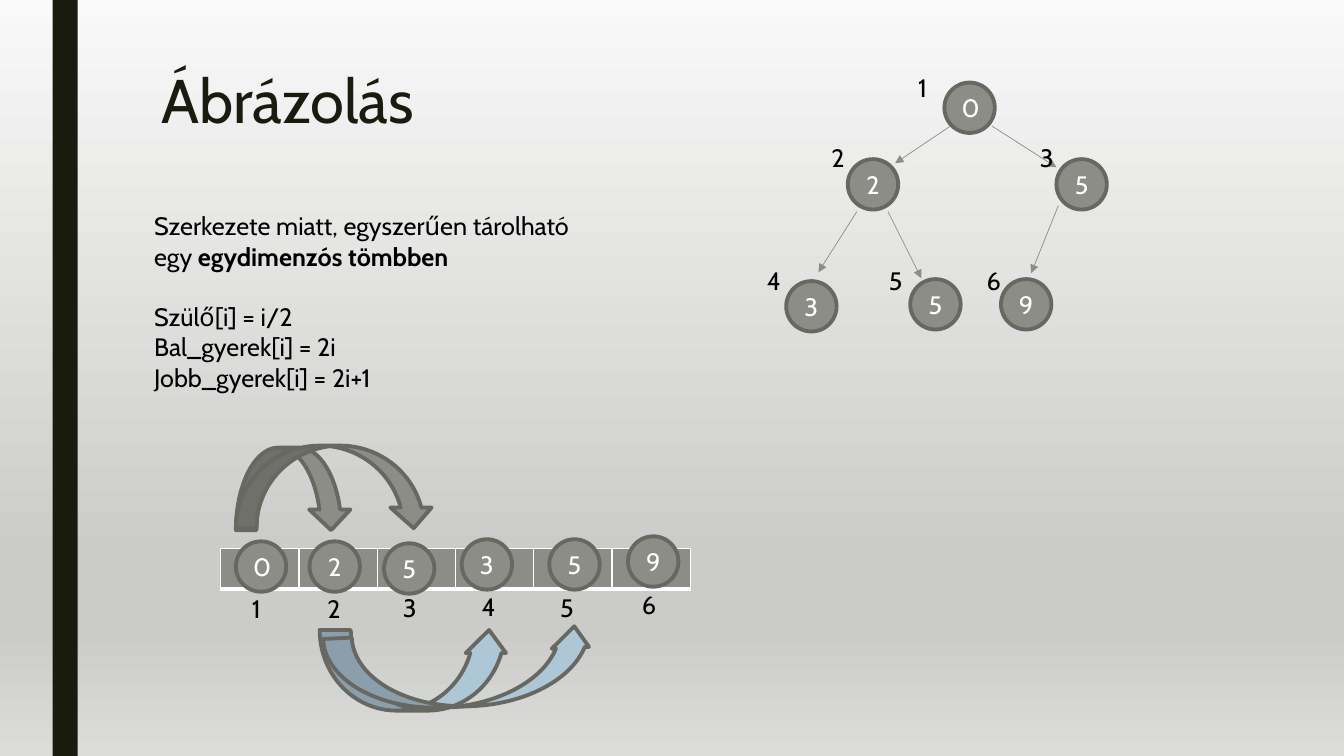
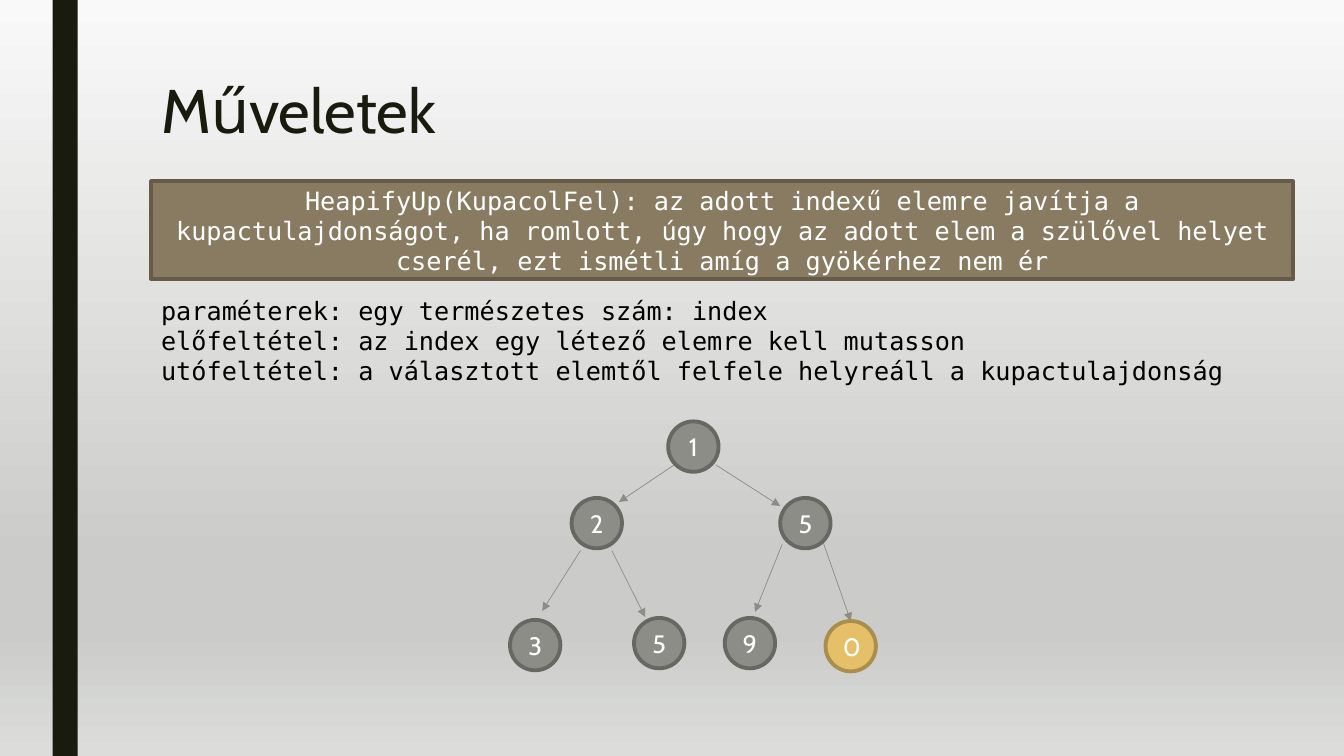
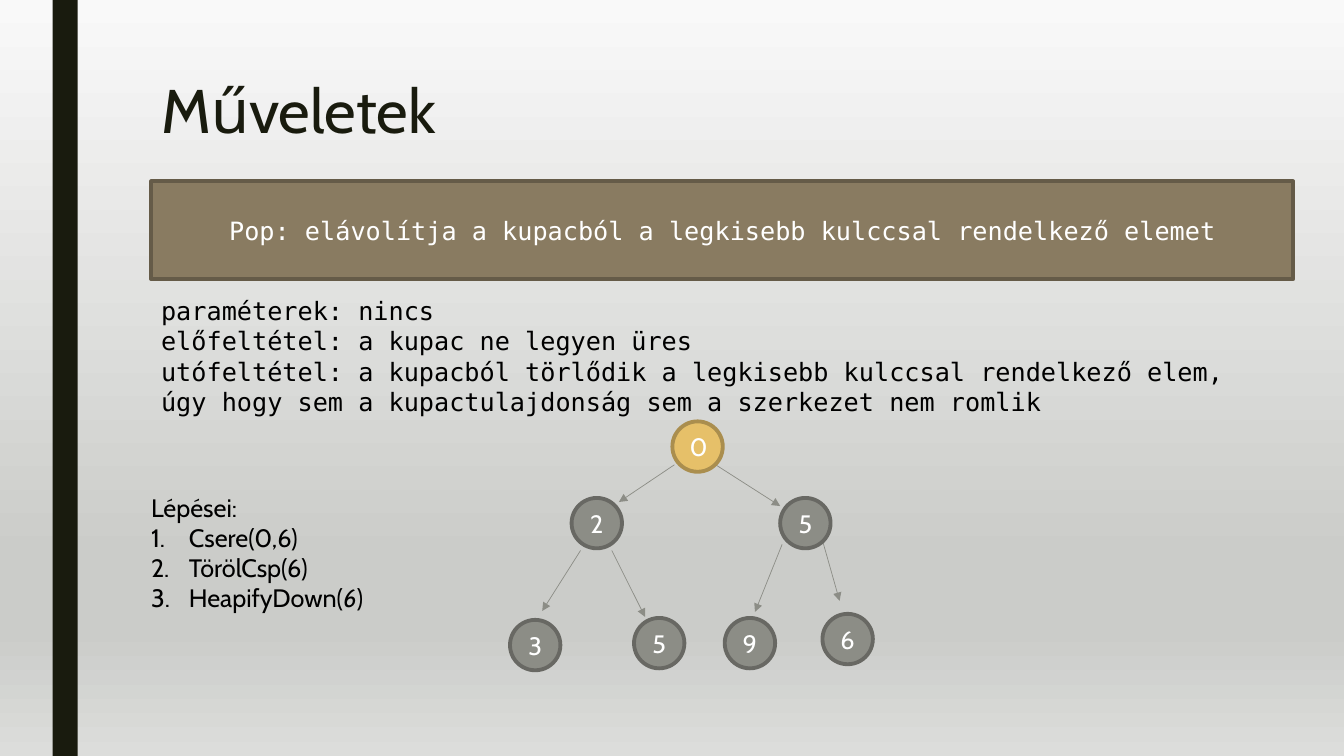
from dataclasses import dataclass
from lxml import etree
from pptx import Presentation, util as u
from pptx.dml import color
from pptx.enum import shapes, text
from pptx.oxml import ns

Pt = u.Pt
Kind = shapes.MSO_SHAPE


@dataclass(frozen=True)
class Theme:
    """Colours, fonts and type sizes of the deck."""
    ink: str = "191B0E"
    black: str = "000000"
    white: str = "FFFFFF"
    gray: str = "8C8D86"
    rim: str = "686863"
    brown: str = "897B61"
    bark: str = "655B48"
    gold: str = "E6C069"
    amber: str = "AA8E4E"
    blue: str = "ADC7D6"
    back: tuple = ((0, "F9F9F9"), (74, "CBCCC9"), (83, "CBCCC9"), (100, "DCDDDB"))
    sans: str = "Cabin"
    mono: str = "DejaVu Sans Mono"
    head: int = 44
    body: int = 18
    rule: float = 2.75


T = Theme()
SIZE = 36  # node diameter

# Tree places, relative to its box, in level order
NODES = [(113, 0), (44, 54.7), (193, 54.7), (0, 141.8), (88.6, 140.4), (153.4, 140.4)]
EDGES = [(117.4, 31, 77.8, 57.6), (146.9, 31, 193, 60.5), (50.4, 92.2, 23, 135.4),
         (72.7, 92.2, 96.5, 139.7), (194.4, 87.8, 175, 136.1)]
MARKS = [(87.1, -10.8), (25.2, 38.9), (174.2, 38.9), (-20.9, 126.7), (66.2, 126.7),
         (136.1, 126.7)]

# Array places, relative to the table
ITEMS = [(10.8, -5), (63.4, -5), (116.6, -3.6), (172.1, -6.5), (234.7, -6.5), (290.9, -8.6)]
KEYS = [(15.1, 28.8), (69.1, 28.8), (123.1, 28.1), (179.3, 27.4), (235.4, 28.1), (293.8, 25.9)]


def rgb(code):
    """Turn a hex code into a colour."""
    return color.RGBColor.from_string(code)


def sub(node, tag, **attrs):
    """Add an XML child."""
    return etree.SubElement(node, ns.qn(tag), attrs)


def style(frame, size, face, tint):
    """Format every run of a text frame."""
    for para in frame.paragraphs:
        for run in para.runs:
            run.font.size, run.font.name = Pt(size), face
            run.font.color.rgb = rgb(tint)


def note(slide, box, words, size=T.body, face=T.sans, tint=T.black, grow=True):
    """Add a wrapping text box and return its frame."""
    frame = slide.shapes.add_textbox(*map(Pt, box)).text_frame
    frame.word_wrap = True
    if grow:
        frame.auto_size = text.MSO_AUTO_SIZE.SHAPE_TO_FIT_TEXT
    frame.text = words
    style(frame, size, face, tint)
    return frame


def block(slide, kind, box, fill, edge=None, words="", face=T.sans):
    """Add a filled shape with centred white text."""
    shape = slide.shapes.add_shape(kind, *map(Pt, box))
    shape.shadow.inherit = False
    shape.fill.solid()
    shape.fill.fore_color.rgb = rgb(fill)
    if edge:
        shape.line.color.rgb = rgb(edge)
        shape.line.width = Pt(T.rule)
    else:
        shape.line.fill.background()
    if words:
        frame = shape.text_frame
        frame.text = words
        frame.vertical_anchor = text.MSO_ANCHOR.MIDDLE
        frame.paragraphs[0].alignment = text.PP_ALIGN.CENTER
        style(frame, T.body, face, T.white)
    return shape


def arrow(slide, x, y, ends):
    """Draw a thin arrow relative to x, y."""
    left, top, right, low = ends
    line = slide.shapes.add_connector(
        shapes.MSO_CONNECTOR.STRAIGHT, Pt(x + left), Pt(y + top), Pt(x + right), Pt(y + low))
    line.line.color.rgb = rgb(T.gray)
    line.line.width = Pt(0.5)
    props = line.element.spPr
    sub(props.find(ns.qn("a:ln")), "a:tailEnd", type="triangle")
    sub(props, "a:effectLst")


def disc(slide, x, y, word, gold=False):
    """Draw one node."""
    kind, fill, edge = ((Kind.OVAL, T.gold, T.amber) if gold
                        else (Kind.FLOWCHART_CONNECTOR, T.gray, T.rim))
    block(slide, kind, (x, y, SIZE, SIZE), fill, edge, word)


def count(slide, x, y, spots):
    """Number the given spots from one."""
    for num, (dx, dy) in enumerate(spots, 1):
        note(slide, (x + dx, y + dy, 216, 29), str(num))


def tree(slide, x, y, words, nodes=NODES, edges=EDGES, marks=(), gold=None):
    """Draw a heap as a tree, with its top left at x, y."""
    for ends in edges:
        arrow(slide, x, y, ends)
    count(slide, x, y, marks)
    for num, ((dx, dy), word) in enumerate(zip(nodes, words)):
        disc(slide, x + dx, y + dy, word, num == gold)


def bend(slide, box, fill, turn=0):
    """Draw a curved arrow; a turned one is mirrored too."""
    shape = block(slide, Kind.CURVED_DOWN_ARROW, box, fill, T.rim)
    if turn:
        shape.rotation = turn
        shape.element.spPr.find(ns.qn("a:xfrm")).set("flipH", "1")
        for num, value in enumerate((0.386, 0.5, 0.285)):
            shape.adjustments[num] = value


def array(slide, x, y, wide, high, words):
    """Draw a heap as an array with arrows from parent to child."""
    table = slide.shapes.add_table(1, len(words), *map(Pt, (x, y, wide, high))).table
    for col in table.columns:
        col.width = Pt(wide / len(words))
    for cell in table.iter_cells():
        props = cell._tc.get_or_add_tcPr()
        for side, width in zip("LRTB", (1, 1, 1, 3)):
            line = sub(props, "a:ln" + side, w=str(Pt(width)))
            sub(sub(line, "a:solidFill"), "a:srgbClr", val=T.white)
        cell.fill.solid()
        cell.fill.fore_color.rgb = rgb(T.gray)
    count(slide, x, y, KEYS)
    for (dx, dy), word in zip(ITEMS, words):
        disc(slide, x + dx, y + dy, word)
    bend(slide, (x + 10.8, y - 72, 82.8, 59), T.gray)
    bend(slide, (x + 10.8, y - 73.4, 141.8, 59), T.gray)
    bend(slide, (x + 70.6, y + 58.3, 135.4, 57.6), T.blue, 180)
    bend(slide, (x + 74.2, y + 59.8, 193, 53.3), T.blue, 177.1)


def paint(deck):
    """Give the master its gradient background."""
    master = deck.slide_master
    fill = master.background.fill
    fill.gradient()
    fill.gradient_angle = 270
    stops = master.element.find(".//" + ns.qn("a:gsLst"))
    for stop in list(stops):
        stops.remove(stop)
    for place, tint in T.back:
        sub(sub(stops, "a:gs", pos=str(place * 1000)), "a:srgbClr", val=tint)


def page(deck, title, top):
    """Add a slide with its side band and title."""
    slide = deck.slides.add_slide(deck.slide_layouts[6])
    block(slide, Kind.RECTANGLE, (37.5, 0, 18, 540), T.ink)
    frame = note(slide, (108, top, 756, 116.6), title, T.head, tint=T.ink, grow=False)
    frame.paragraphs[0].line_spacing = 0.89
    return slide


def task(slide, x, y, name, terms, high):
    """Add an operation banner with its conditions below."""
    block(slide, Kind.RECTANGLE, (x, y, 815.8, 69.8), T.brown, T.bark, name, T.mono)
    note(slide, (x, y + 77.8, 810.7, high), terms, face=T.mono)


def rules(slide, box):
    """Add the storage text and the index formulas."""
    frame = note(slide, box, "Szerkezete miatt, egyszerűen tárolható egy \n"
                 "Szülő[i] = i/2\nBal_gyerek[i] = 2i\nJobb_gyerek[i] = 2i+1")
    first, second = frame.paragraphs[:2]
    strong = first.add_run()
    strong.text = "egydimenzós tömbben"
    strong.font.bold = True
    second.space_before = Pt(21.6)
    style(frame, T.body, T.sans, T.black)


def steps(slide, box):
    """Add the numbered steps of Pop."""
    frame = note(slide, box, "Lépései:\nCsere(0,6)\nTörölCsp(6)\nHeapifyDown(")
    for para in frame.paragraphs[1:]:
        props = para._p.get_or_add_pPr()
        props.set("marL", str(Pt(27)))
        props.set("indent", str(-Pt(27)))
        sub(props, "a:buAutoNum", type="arabicPeriod")
    for word, slant in (("6", True), (")", False)):
        run = frame.paragraphs[-1].add_run()
        run.text = word
        run.font.italic = slant
    style(frame, T.body, T.sans, T.black)


def store(deck):
    """Build the slide on storing a heap."""
    slide = page(deck, "Ábrázolás", 46.8)
    rules(slide, (103, 146.9, 335.5, 138.2))
    tree(slide, 561.6, 59, "025359", marks=MARKS)
    array(slide, 157.7, 391.7, 335.5, 29.2, "025359")


def rise(deck):
    """Build the HeapifyUp slide."""
    slide = page(deck, "Műveletek", 54)
    task(slide, 108, 129.6,
         "HeapifyUp(KupacolFel): az adott indexű elemre javítja a kupactulajdonságot, "
         "ha romlott, úgy hogy az adott elem a szülővel helyet cserél, ezt ismétli "
         "amíg a gyökérhez nem ér",
         "paraméterek: egy természetes szám: index\n"
         "előfeltétel: az index egy létező elemre kell mutasson\n"
         "utófeltétel: a választott elemtől felfele helyreáll a kupactulajdonság", 69)
    tree(slide, 364.3, 301, "1253590", NODES + [(225.4, 142.6)],
         EDGES + [(223.2, 85, 243.4, 142.6)], gold=6)


def drop(deck):
    """Build the Pop slide."""
    slide = page(deck, "Műveletek", 54)
    task(slide, 108, 129.6,
         "Pop: elávolítja a kupacból a legkisebb kulccsal rendelkező elemet",
         "paraméterek: nincs\nelőfeltétel: a kupac ne legyen üres\n"
         "utófeltétel: a kupacból törlődik a legkisebb kulccsal rendelkező elem, "
         "úgy hogy sem a kupactulajdonság sem a szerkezet nem romlik", 94.3)
    tree(slide, 364.3, 301, "0253596", [(116, 0)] + NODES[1:] + [(223.2, 137.5)],
         EDGES + [(223.2, 85, 235.4, 128.2)], gold=0)
    steps(slide, (100.8, 347.8, 219.6, 94.3))


deck = Presentation()
deck.slide_width, deck.slide_height = Pt(960), Pt(540)
paint(deck)
for build in (store, rise, drop):
    build(deck)
deck.save("out.pptx")
